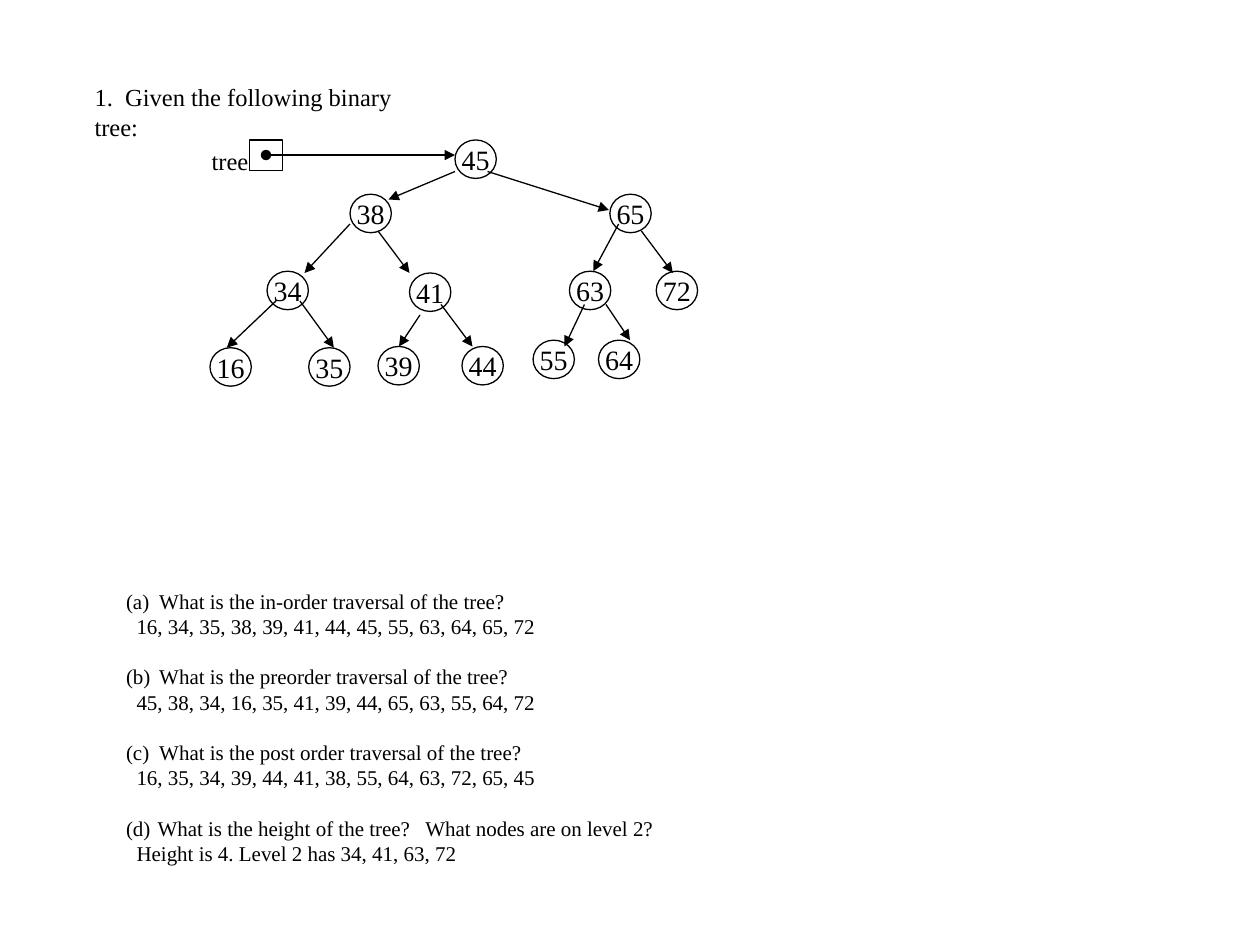
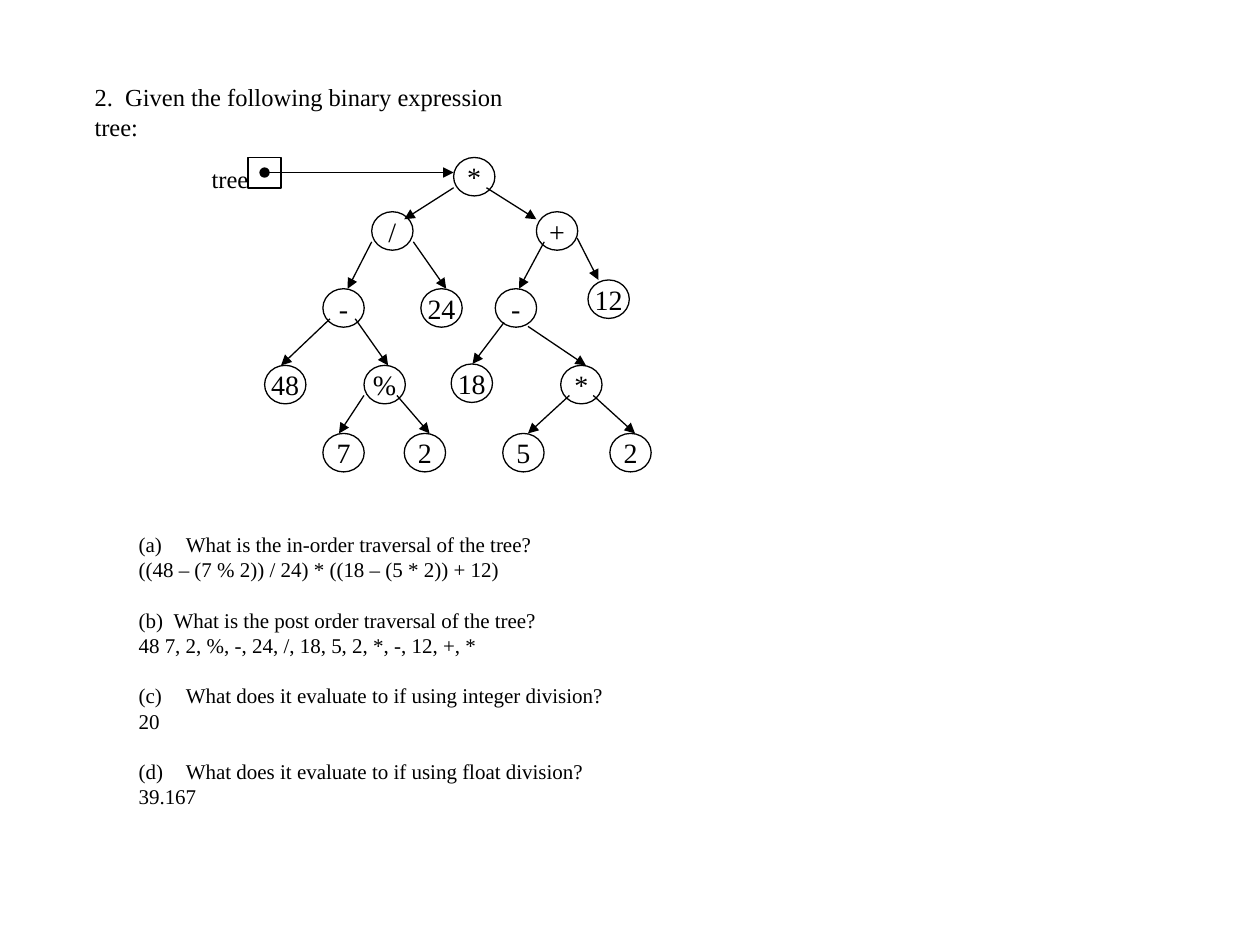
"""Builds two exercise slides, each with a binary tree and its traversal questions."""
import pptx
import pptx.util
import pptx.dml.color
import pptx.enum.shapes
import pptx.enum.text
import pptx.oxml.ns
import lxml.etree

Pt = pptx.util.Pt
Shape = pptx.enum.shapes.MSO_SHAPE
Align = pptx.enum.text.PP_ALIGN
Anchor = pptx.enum.text.MSO_ANCHOR

THEME = {
    "ink": pptx.dml.color.RGBColor(0, 0, 0),
    "font": "Times New Roman",
    "title": 14,
    "label": 14,
    "body": 12,
    "node": 16,
    "line": 0.75,
    "title_pitch": 17.1,
    "body_pitch": 14.4,
}
NODE_WIDTH, NODE_HEIGHT = 23.6, 22
POINTER_WIDTH, POINTER_HEIGHT = 18.8, 17.5

# Each node: label, (left, top), incoming arrow start, incoming arrow end
SLIDES = [
    {
        "title": "1.  Given the following binary tree:",
        "title_width": 212.4,
        "body_box": (64.8, 332.6, 325, 167),
        "answer_margin": 6,
        "nodes": [
            ("45", (260, 80), (152, 88.6), (260, 88.6)),
            ("38", (200, 111), (260, 98), (222, 114)),
            ("65", (348.5, 111), (278.6, 98), (348, 120)),
            ("34", (152.6, 155), (200, 128), (174, 156)),
            ("41", (234, 156), (216, 132), (234, 156)),
            ("63", (325.4, 155), (353.5, 128), (339, 155)),
            ("72", (375, 155), (366.5, 132), (384.5, 156)),
            ("16", (120, 198.7), (157.7, 172), (129.6, 198.7)),
            ("35", (176.4, 198.7), (171.4, 172), (190.8, 198.7)),
            ("39", (216, 198), (240, 180), (228, 198)),
            ("44", (264, 198), (252, 174), (270, 198)),
            ("55", (304.6, 194.4), (334, 174), (322.6, 198)),
            ("64", (342, 194.4), (346.3, 174), (360, 194.4)),
        ],
        "questions": [
            (19, "What is the in-order traversal of the tree?",
             "16, 34, 35, 38, 39, 41, 44, 45, 55, 63, 64, 65, 72"),
            (19, "What is the preorder traversal of the tree?",
             "45, 38, 34, 16, 35, 41, 39, 44, 65, 63, 55, 64, 72"),
            (19, "What is the post order traversal of the tree?",
             "16, 35, 34, 39, 44, 41, 38, 55, 64, 63, 72, 65, 45"),
            (18, "What is the height of the tree?   What nodes are on level 2?",
             "Height is 4. Level 2 has 34, 41, 63, 72"),
        ],
    },
    {
        "title": "2.  Given the following binary expression tree:",
        "title_width": 275.8,
        "body_box": (72, 300.2, 290, 196.6),
        "answer_margin": 0,
        "nodes": [
            ("*", (259.2, 90), (151.2, 98.6), (259.2, 98.6)),
            ("/", (212.4, 121), (259.2, 107.3), (231, 125.3)),
            ("+", (306.5, 121), (278, 107.3), (306.5, 125.3)),
            ("-", (184.5, 165), (212.4, 138.2), (198.7, 165)),
            ("24", (240.5, 165), (236.2, 138.2), (255, 165)),
            ("-", (283, 165), (311, 138.2), (296.6, 165)),
            ("12", (336, 160), (329.8, 136), (342, 160)),
            ("48", (151.2, 208.8), (188.6, 182.2), (160.6, 208.8)),
            ("%", (208, 208.8), (203, 182.2), (221.8, 208.8)),
            ("18", (257.8, 208), (288, 184.3), (270, 208)),
            ("*", (320.4, 208.8), (301.7, 186.5), (334.8, 208.8)),
            ("7", (184.5, 247.7), (208, 226), (193.7, 247.7)),
            ("2", (231, 247.7), (226.8, 226), (245.5, 247.7)),
            ("5", (287.3, 247.7), (325.4, 226), (301.7, 247.7)),
            ("2", (348.5, 247.7), (339, 226), (362.9, 247.7)),
        ],
        "questions": [
            (27, "What is the in-order traversal of the tree?",
             "((48 – (7 % 2)) / 24) * ((18 – (5 * 2)) + 12)"),
            (20, "What is the post order traversal of the tree?",
             "48 7, 2, %, -, 24, /, 18, 5, 2, *, -, 12, +, *"),
            (27, "What does it evaluate to if using integer division?", "20"),
            (27, "What does it evaluate to if using float division?", "39.167"),
        ],
    },
]


def write(paragraph, text, role, **formats):
    paragraph.text = text
    formats = {"alignment": Align.LEFT, "space_before": Pt(0), "space_after": Pt(0), **formats}
    for name, value in formats.items():
        setattr(paragraph, name, value)
    font = paragraph.runs[0].font
    for name, value in {"name": THEME["font"], "size": Pt(THEME[role]), "bold": False}.items():
        setattr(font, name, value)
    font.color.rgb = THEME["ink"]


def set_frame(shape, **formats):
    formats = {"auto_size": pptx.enum.text.MSO_AUTO_SIZE.NONE, "word_wrap": False,
               "vertical_anchor": Anchor.TOP, **formats}
    for name, value in formats.items():
        setattr(shape.text_frame, name, value)
    return shape.text_frame


presentation = pptx.Presentation()
presentation.slide_width, presentation.slide_height = Pt(720), Pt(540)

for content in SLIDES:
    slide = presentation.slides.add_slide(presentation.slide_layouts[1])
    title, body = slide.placeholders
    boxes = [(title, (46.8, 43.2, content["title_width"], 23.8)), (body, content["body_box"])]
    for placeholder, box in boxes:
        for name, value in zip(("left", "top", "width", "height"), box):
            setattr(placeholder, name, Pt(value))

    frame = set_frame(title, word_wrap=True)
    write(frame.paragraphs[0], content["title"], "title", line_spacing=Pt(THEME["title_pitch"]))

    frame = set_frame(body, word_wrap=True)
    pitch = Pt(THEME["body_pitch"])
    for number, (hang, question, answer) in enumerate(content["questions"], 1):
        paragraph = frame.paragraphs[0] if number == 1 else frame.add_paragraph()
        write(paragraph, question, "body", line_spacing=pitch,
              space_before=pitch if number > 1 else Pt(0))
        properties = paragraph._p.get_or_add_pPr()
        properties.set("marL", str(Pt(hang)))
        properties.set("indent", str(-Pt(hang)))
        lxml.etree.SubElement(properties, pptx.oxml.ns.qn("a:buFont"), typeface=THEME["font"])
        lxml.etree.SubElement(properties, pptx.oxml.ns.qn("a:buAutoNum"),
                              type="alphaLcParenBoth", startAt=str(number))

        paragraph = frame.add_paragraph()
        write(paragraph, answer, "body", line_spacing=pitch)
        properties = paragraph._p.get_or_add_pPr()
        properties.set("marL", str(Pt(content["answer_margin"])))
        properties.set("indent", "0")
        lxml.etree.SubElement(properties, pptx.oxml.ns.qn("a:buNone"))

    root_top = content["nodes"][0][1][1]
    pointer_left = content["nodes"][0][2][0] - POINTER_WIDTH / 2
    outlines = [(Shape.OVAL, label, place, (NODE_WIDTH, NODE_HEIGHT))
                for label, place, start, end in content["nodes"]]
    outlines.append((Shape.RECTANGLE, "", (pointer_left, root_top),
                     (POINTER_WIDTH, POINTER_HEIGHT)))
    for kind, label, place, size in outlines:
        shape = slide.shapes.add_shape(kind, *map(Pt, place + size))
        shape.shadow.inherit = False
        shape.fill.background()
        shape.line.color.rgb = THEME["ink"]
        shape.line.width = Pt(THEME["line"])
        if label:
            frame = set_frame(shape, vertical_anchor=Anchor.MIDDLE)
            write(frame.paragraphs[0], label, "node", alignment=Align.CENTER)

    label_box = slide.shapes.add_textbox(Pt(113.8), Pt(root_top), Pt(35.3), Pt(23.8))
    write(set_frame(label_box).paragraphs[0], "tree", "label")

    for index, (label, place, start, end) in enumerate(content["nodes"]):
        arrow = slide.shapes.add_connector(pptx.enum.shapes.MSO_CONNECTOR.STRAIGHT,
                                           *map(Pt, start + end))
        arrow.line.color.rgb = THEME["ink"]
        arrow.line.width = Pt(THEME["line"])
        line = arrow.line._get_or_add_ln()
        if index == 0:
            lxml.etree.SubElement(line, pptx.oxml.ns.qn("a:headEnd"), type="oval")
        lxml.etree.SubElement(line, pptx.oxml.ns.qn("a:tailEnd"), type="triangle")
        lxml.etree.SubElement(arrow._element.spPr, pptx.oxml.ns.qn("a:effectLst"))

presentation.save("out.pptx")
